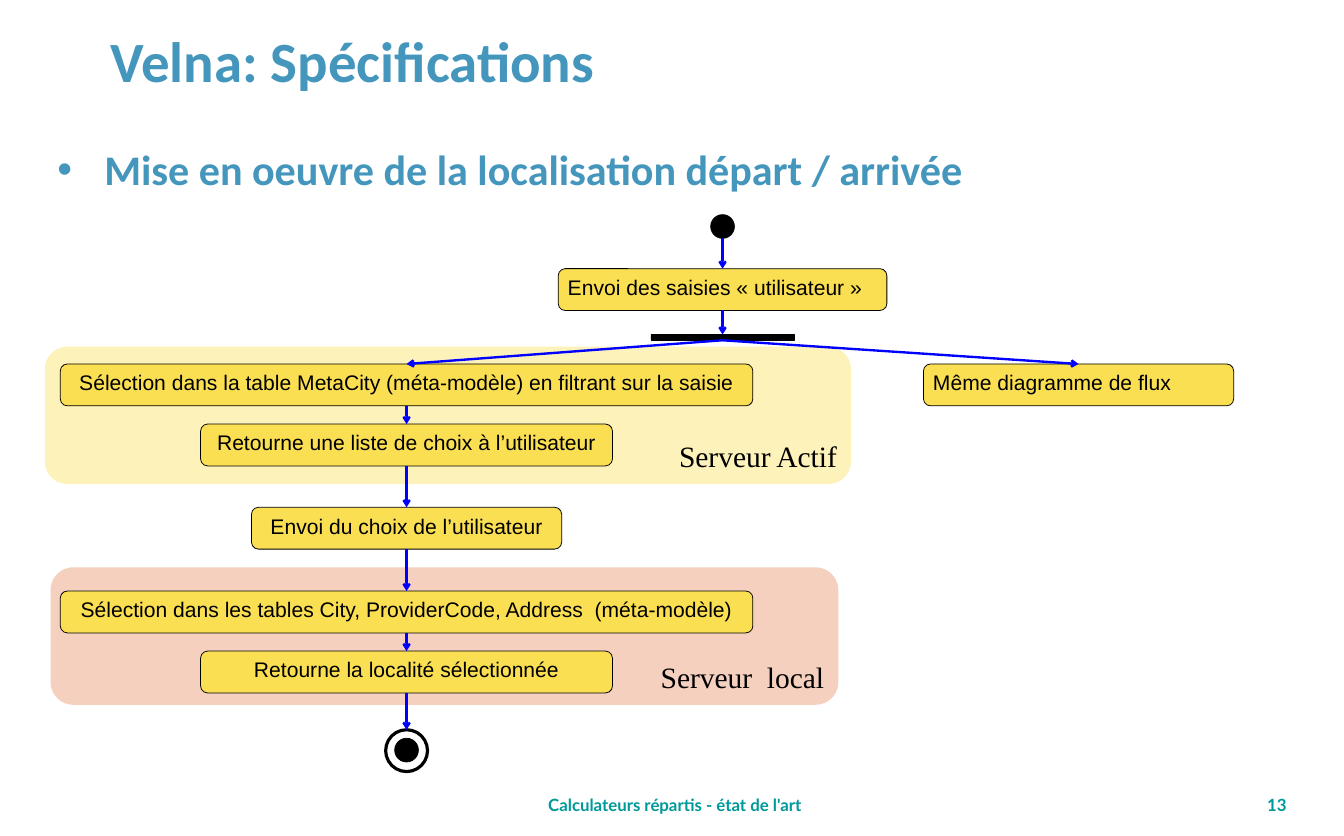
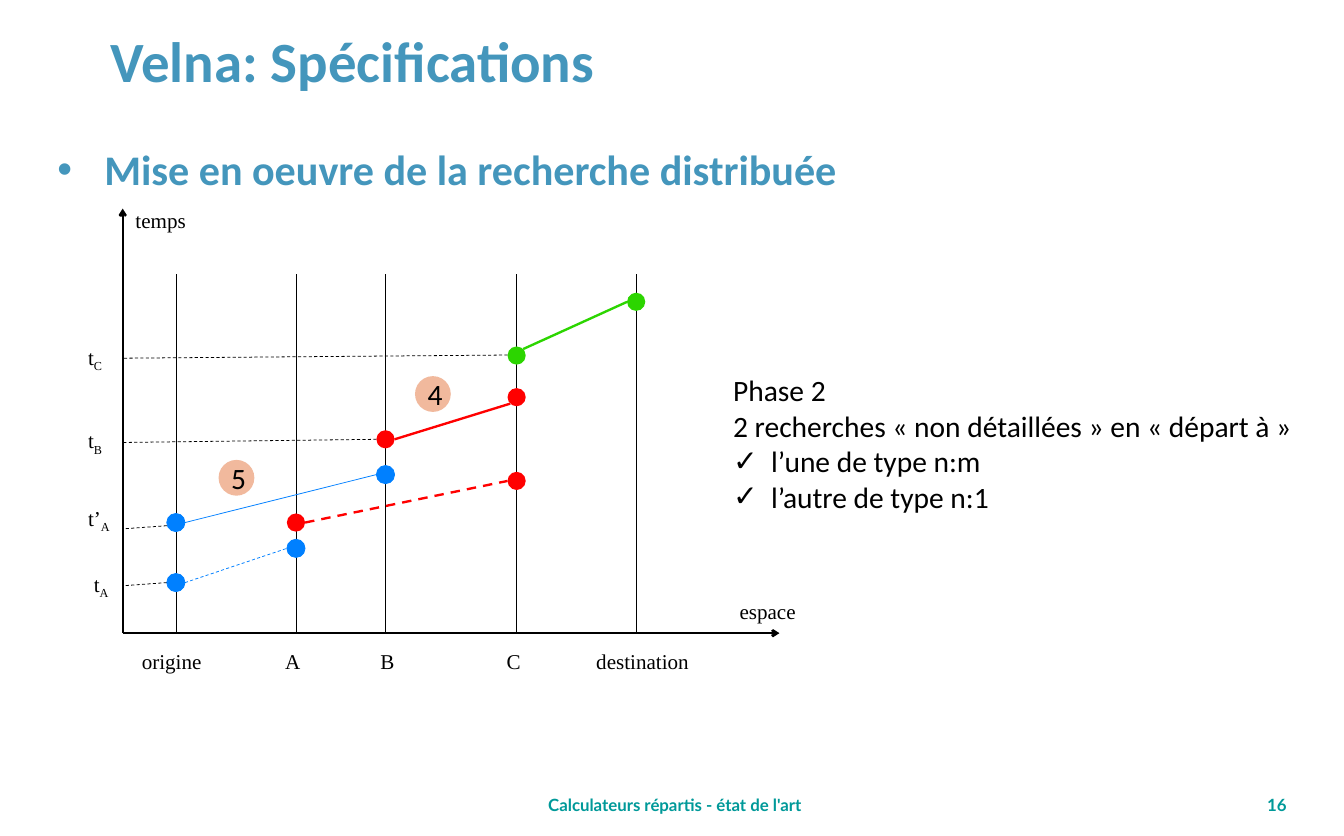
from lxml import etree
from pptx import Presentation
from pptx.dml.color import RGBColor
from pptx.enum.dml import MSO_LINE
from pptx.enum.shapes import MSO_CONNECTOR, MSO_SHAPE
from pptx.enum.text import MSO_ANCHOR, PP_ALIGN
from pptx.oxml.ns import qn
from pptx.util import Pt

RECT, ROUND, OVAL = MSO_SHAPE.RECTANGLE, MSO_SHAPE.ROUNDED_RECTANGLE, MSO_SHAPE.OVAL
LEFT, MID, RIGHT = PP_ALIGN.LEFT, PP_ALIGN.CENTER, PP_ALIGN.RIGHT
TOP, CENTER, LOW = MSO_ANCHOR.TOP, MSO_ANCHOR.MIDDLE, MSO_ANCHOR.BOTTOM
STRAIGHT, DASH = MSO_CONNECTOR.STRAIGHT, MSO_LINE.DASH

HUE = {"head": "4496BC", "foot": "009999", "ink": "000000", "step": "FBDF53",
       "sand": "FDF2BA", "rose": "F5D0BE", "mark": "F1B99D", "flow": "0000FF",
       "blue": "0080FF", "red": "FF0000", "green": "2CD500"}
SERIF, SANS, BODY = "Times New Roman", "Arial", "Calibri"

# Shared content
TITLE = "Velna: Spécifications"
FOOTER = "Calculateurs répartis - état de l'art"

# Activity diagram: panels (text, box, colour) and steps (text, top, width)
PANELS = [("Serveur  local", (48, 538.5, 748, 130.5), "rose"),
          ("Serveur Actif", (42.5, 329, 765.5, 130.5), "sand")]
STEPS = [
    ("Sélection dans la table MetaCity (méta-modèle) en filtrant sur la saisie", 345.5, 657.5),
    ("Retourne une liste de choix à l’utilisateur", 402.5, 391),
    ("Envoi du choix de l’utilisateur", 481.5, 294.5),
    ("Sélection dans les tables City, ProviderCode, Address  (méta-modèle)", 561, 657.5),
    ("Retourne la localité sélectionnée", 618, 391),
]
SEND = ("Envoi des saisies «\u00a0utilisateur\u00a0»", 255, 312)
TWIN = ("Même diagramme de flux", 345.5, 294.5)
MAIN_X, FORK_X, TWIN_X = 386, 686, 1024
STEP_H, DOT_D, RING_D = 39.7, 22.5, 39.7

# Space-time diagram: places (text, x, label left, label width)
PLACES = [("origine", 167, 127.5, 73.5), ("A", 281, 263.5, 34),
          ("B", 366, 354, 34), ("C", 490.5, 474, 34),
          ("destination", 604, 559, 113)]
AXIS_X, AXIS_Y, AXIS_TOP, AXIS_END, GRID_TOP = 116.5, 601, 198, 740, 260.5
NODE_D = 17.3
EAST, WEST, NE, SW = (1, 0), (-1, 0), (0.71, -0.71), (-0.71, 0.71)
# Trips: colour, (place, y) at both ends, exit and entry side, width, dashed
TRIPS = [
    ("blue", (0, 553), (1, 520.5), EAST, WEST, 0.75, True),
    ("blue", (0, 496), (2, 450.5), EAST, WEST, 0.75, False),
    ("red", (1, 496), (3, 456.5), EAST, WEST, 2.25, True),
    ("red", (2, 417), (3, 377), EAST, SW, 2.25, False),
    ("green", (3, 337.5), (4, 286.5), NE, WEST, 2.25, False),
]
# Times: text with index, label left, label top, label width, place, line y
TIMES = [(("t", "C"), 76.5, 323.5, 34, 3, 337),
         (("t", "B"), 76.5, 402.5, 34, 2, 417),
         (("t’", "A"), 76.5, 476, 51, 0, 499),
         (("t", "A"), 82, 538.5, 34, 0, 553)]
MARKS = [("4", 394, 357), ("5", 207.5, 436.5)]
PHASE = ["Phase 2", "2 recherches «\u00a0non détaillées\u00a0» en «\u00a0départ à\u00a0»"]
KINDS = ["l’une de type n:m", "l’autre de type n:1"]


def rgb(name):
    return RGBColor.from_string(HUE[name])


def write(shape, lines, size=20, font=SERIF, color="ink", bold=False, align=LEFT,
          anchor=TOP, pad=(7.2, 3.6), bullet=None, indent=0, before=0, start=0):
    """Write paragraphs; a (text, index) pair gets a subscript.

    Bullets begin at paragraph number start.
    """
    frame = shape.text_frame
    frame.word_wrap, frame.vertical_anchor = True, anchor
    frame.margin_left = frame.margin_right = Pt(pad[0])
    frame.margin_top = frame.margin_bottom = Pt(pad[1])
    for num, line in enumerate(lines):
        para = frame.add_paragraph() if num else frame.paragraphs[0]
        para.alignment, para.space_before = align, Pt(before)
        if bullet and num >= start:
            props = para._p.get_or_add_pPr()
            props.set("marL", str(Pt(indent)))
            props.set("indent", str(-Pt(indent)))
            etree.SubElement(props, qn("a:buFont")).set("typeface", SANS)
            etree.SubElement(props, qn("a:buChar")).set("char", bullet)
        parts = (line,) if isinstance(line, str) else line
        for pos, part in enumerate(parts):
            run = para.add_run()
            run.text = part
            run.font.size, run.font.name, run.font.bold = Pt(size), font, bold
            run.font.color.rgb = rgb(color)
            if pos:
                run.font._element.set("baseline", "-25000")


def label(slide, box, lines, **fmt):
    write(slide.shapes.add_textbox(*map(Pt, box)), lines, **fmt)


def draw(slide, kind, box, fill=None, line=None, width=0.75):
    shape = slide.shapes.add_shape(kind, *map(Pt, box))
    shape.shadow.inherit = False
    if fill:
        shape.fill.solid()
        shape.fill.fore_color.rgb = rgb(fill)
    else:
        shape.fill.background()
    if line:
        shape.line.color.rgb, shape.line.width = rgb(line), Pt(width)
    else:
        shape.line.fill.background()
    return shape


def disc(slide, x, y, size, **look):
    return draw(slide, OVAL, (x - size / 2, y - size / 2, size, size), **look)


def wire(slide, start, end, color="ink", width=0.75, dash=False, arrow=False):
    link = slide.shapes.add_connector(STRAIGHT, *map(Pt, start + end))
    link.line.color.rgb, link.line.width = rgb(color), Pt(width)
    if dash:
        link.line.dash_style = DASH
    if arrow:
        etree.SubElement(link.line._get_or_add_ln(), qn("a:tailEnd")).set("type", "arrow")
    etree.SubElement(link._element.spPr, qn("a:effectLst"))
    return link


def flow(slide, upper, lower):
    """Arrow from the bottom of one shape to the top of the next."""
    start = ((upper.left + upper.width / 2) / Pt(1), (upper.top + upper.height) / Pt(1))
    end = ((lower.left + lower.width / 2) / Pt(1), lower.top / Pt(1))
    link = wire(slide, start, end, "flow", 2.25, arrow=True)
    if upper.auto_shape_type != OVAL:
        link.begin_connect(upper, 2)
    if lower.auto_shape_type != OVAL:
        link.end_connect(lower, 0)


def step(slide, mid, item, align=MID):
    text, top, width = item
    box = draw(slide, ROUND, (mid - width / 2, top, width, STEP_H), "step", "ink")
    write(box, [text], font=SANS, align=align)
    return box


def base(deck, topic, number):
    """Slide with title, topic and footer."""
    slide = deck.slides.add_slide(deck.slide_layouts[6])
    for left, width, text in ((496, 289.5, FOOTER), (1148.5, 127.5, number)):
        label(slide, (left, 748, width, 45.5), [text], size=16, font="Lato",
              color="foot", bold=True, align=MID, pad=(11.5, 5.8))
    label(slide, (93.5, 0, 1182, 113), [TITLE], size=54, font=BODY, color="head",
          bold=True, anchor=CENTER, pad=(11.5, 5.8))
    label(slide, (42.5, 130.5, 1202, 595), [topic], size=40, font=BODY, color="head",
          bold=True, pad=(12, 5.8), bullet="•", indent=44.6, before=8)
    return slide


def activity(deck):
    slide = base(deck, "Mise en oeuvre de la localisation départ / arrivée", "13")
    for text, box, fill in PANELS:
        write(draw(slide, ROUND, box, fill), [text], size=28, align=RIGHT, anchor=LOW)
    # Nodes
    first = disc(slide, FORK_X, 215, DOT_D, fill="ink", line="ink")
    send = step(slide, FORK_X, SEND, LEFT)
    fork = draw(slide, RECT, (FORK_X - 68, 317.5, 136, 5.5), "ink", "ink")
    twin = step(slide, TWIN_X, TWIN, LEFT)
    steps = [step(slide, MAIN_X, item) for item in STEPS]
    disc(slide, MAIN_X, 712, DOT_D, fill="ink", line="ink")
    ring = disc(slide, MAIN_X, 712.5, RING_D, line="ink", width=3)
    # Arrows
    chain = [first, send, fork, *steps, ring]
    for upper, lower in [*zip(chain, chain[1:]), (fork, twin)]:
        flow(slide, upper, lower)


def timeline(deck):
    slide = base(deck, "Mise en oeuvre de la recherche distribuée", "16")
    # Axes and places
    for end in ((AXIS_X, AXIS_TOP), (AXIS_END, AXIS_Y)):
        wire(slide, (AXIS_X, AXIS_Y), end, width=2.25, arrow=True)
    label(slide, (121.5, 193, 85, 31.5), ["temps"])
    label(slide, (695, 564, 85, 31.5), ["espace"])
    for text, x, left, width in PLACES:
        wire(slide, (x, AXIS_Y), (x, GRID_TOP))
        label(slide, (left, 612, width, 31.5), [text])
    # Times
    for text, left, top, width, place, y in TIMES:
        wire(slide, (PLACES[place][1] - NODE_D / 2, y), (AXIS_X, y + 3), dash=True)
        label(slide, (left, top, width, 31.5), [text])
    # Trips
    for color, *ends, leave, enter, width, dash in TRIPS:
        tips = []
        for (place, y), (dx, dy) in zip(ends, (leave, enter)):
            x = PLACES[place][1]
            disc(slide, x, y, NODE_D, fill=color, line=color if color == "blue" else None)
            tips.append((x + dx * NODE_D / 2, y + dy * NODE_D / 2))
        wire(slide, *tips, color, width, dash)
    # Marks and comment
    for text, left, top in MARKS:
        write(draw(slide, OVAL, (left, top, 34, 34), "mark"), [text],
              size=28, font=BODY, anchor=CENTER)
    label(slide, (689, 350, 550, 143.5), PHASE + KINDS, size=28, font=BODY,
          bullet="✓", indent=36, start=len(PHASE))


def main():
    deck = Presentation()
    deck.slide_width, deck.slide_height = Pt(1276), Pt(793.5)
    activity(deck)
    timeline(deck)
    deck.save("out.pptx")


if __name__ == "__main__":
    main()
